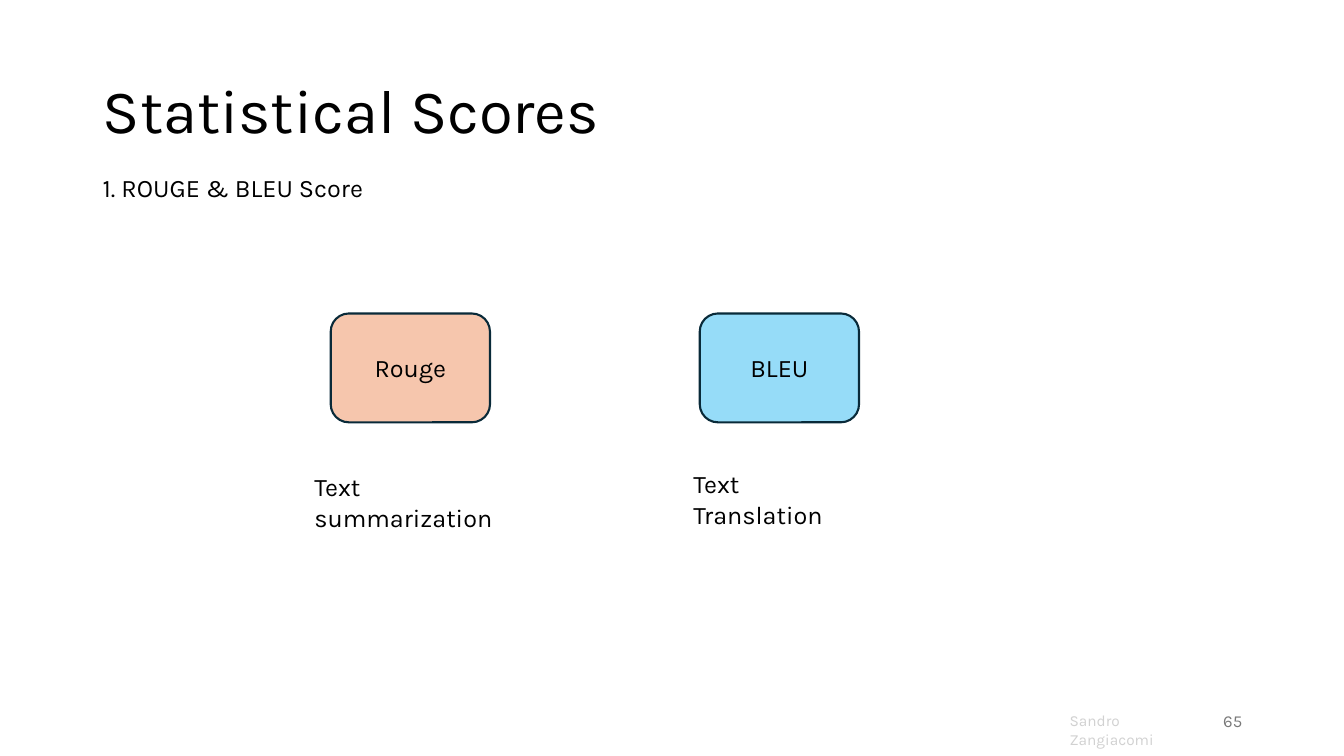
import pptx
import pptx.util
import pptx.dml.color
import pptx.enum.shapes
import pptx.enum.text

Inches = pptx.util.Inches
Pt = pptx.util.Pt
Align = pptx.enum.text.PP_ALIGN
Anchor = pptx.enum.text.MSO_ANCHOR

# Theme
theme = {
    "font": "Karla",
    "size": {"title": 44, "body": 18, "page": 12, "foot": 11},
    "ink": {"title": "000000", "body": "000000", "page": "797979", "foot": "D1D1D1"},
    "edge": "092A39",
    "peach": "F6C6AD",
    "sky": "96DCF8",
}


def color(code):
    return pptx.dml.color.RGBColor.from_string(code)


def write(shape, text, role="body", align=Align.LEFT, anchor=Anchor.TOP):
    frame = shape.text_frame
    frame.text = text
    para = frame.paragraphs[0]
    font = para.runs[0].font
    font.color.rgb = color(theme["ink"][role])
    formats = [
        (frame, {"word_wrap": True, "vertical_anchor": anchor,
                 "auto_size": pptx.enum.text.MSO_AUTO_SIZE.NONE}),
        (para, {"alignment": align}),
        (font, {"name": theme["font"], "size": Pt(theme["size"][role])}),
    ]
    for target, values in formats:
        for name, value in values.items():
            setattr(target, name, value)


# Slide
deck = pptx.Presentation()
deck.slide_width, deck.slide_height = Inches(13.33), Inches(7.5)
slide = deck.slides.add_slide(deck.slide_layouts[5])
shapes = slide.shapes

# Title
title = shapes.title
place = {"left": 0.92, "top": 0.4, "width": 6.42, "height": 1.45}
for side, length in place.items():
    setattr(title, side, Inches(length))
write(title, "Statistical Scores", "title", anchor=Anchor.MIDDLE)
title.text_frame.paragraphs[0].line_spacing = 0.9

# Score cards
for text, left, fill in [("Rouge", 3.28, "peach"), ("BLEU", 6.94, "sky")]:
    card = shapes.add_shape(pptx.enum.shapes.MSO_SHAPE.ROUNDED_RECTANGLE,
                            Inches(left), Inches(3.11), Inches(1.58), Inches(1.08))
    card.shadow.inherit = False
    card.fill.solid()
    card.fill.fore_color.rgb = color(theme[fill])
    card.line.color.rgb = color(theme["edge"])
    card.line.width = Pt(1.5)
    write(card, text, align=Align.CENTER, anchor=Anchor.MIDDLE)

# Subtitle, card captions, author and page number
labels = [
    ("1. ROUGE & BLEU Score", 0.92, 1.66, 2.82, "body", Align.LEFT, Anchor.TOP),
    ("Text summarization", 3.02, 4.63, 2.36, "body", Align.LEFT, Anchor.TOP),
    ("Text Translation", 6.78, 4.6, 1.93, "body", Align.LEFT, Anchor.TOP),
    ("Sandro Zangiacomi", 10.51, 7.01, 1.49, "foot", Align.LEFT, Anchor.TOP),
    ("65", 9.42, 6.95, 3, "page", Align.RIGHT, Anchor.MIDDLE),
]
for text, left, top, width, role, align, anchor in labels:
    box = shapes.add_textbox(Inches(left), Inches(top), Inches(width), Inches(0.4))
    write(box, text, role, align, anchor)

deck.save("out.pptx")
